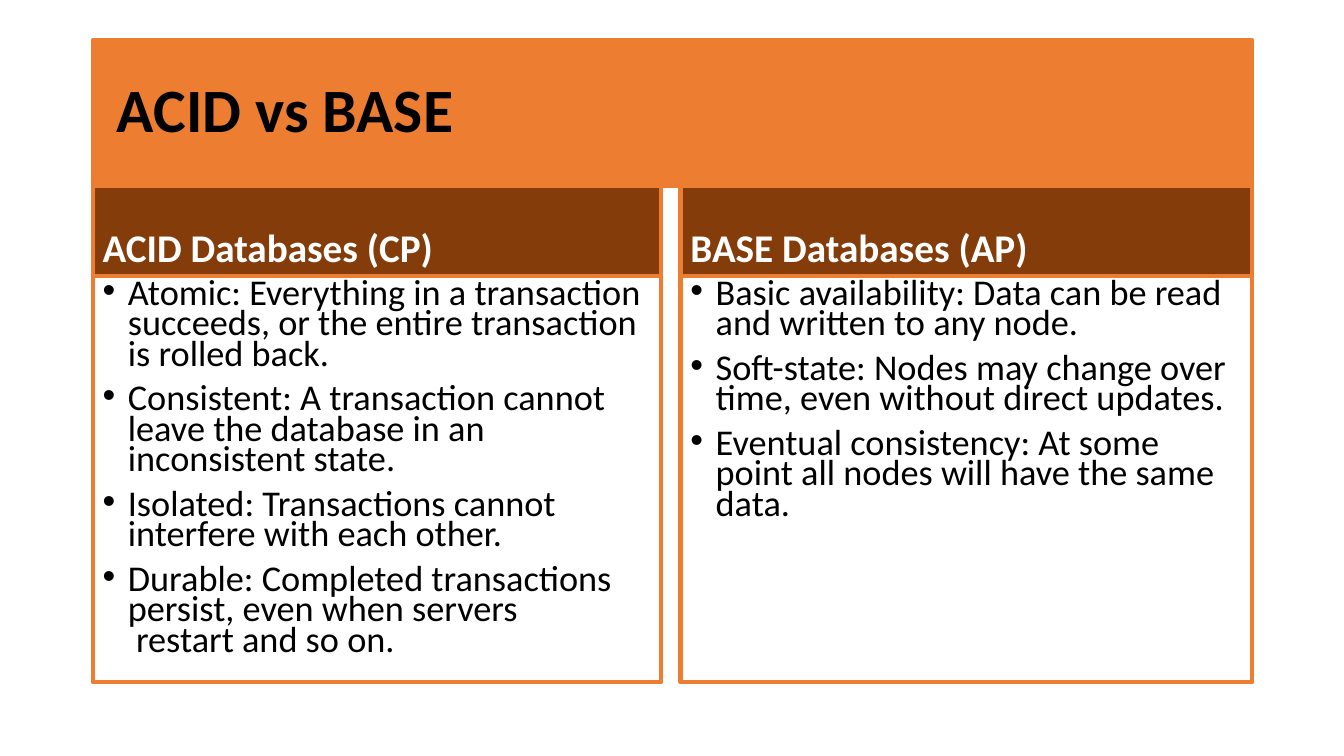
from lxml import etree
from pptx import Presentation
from pptx.dml.color import RGBColor
from pptx.enum.shapes import MSO_SHAPE
from pptx.enum.text import MSO_ANCHOR, PP_ALIGN
from pptx.oxml.ns import qn
from pptx.util import Inches, Pt

RECT = MSO_SHAPE.RECTANGLE
TOP, MID, LOW = MSO_ANCHOR.TOP, MSO_ANCHOR.MIDDLE, MSO_ANCHOR.BOTTOM
LEFT = PP_ALIGN.LEFT

# Content
TITLE = "ACID vs BASE"
PANELS = [
    ("ACID Databases (CP)", [
        "Atomic: Everything in a transaction succeeds, or the entire transaction is rolled back.",
        "Consistent: A transaction cannot leave the database in an inconsistent state.",
        "Isolated: Transactions cannot interfere with each other.",
        "Durable: Completed transactions persist, even when servers\n restart and so on.",
    ]),
    ("BASE Databases (AP)", [
        "Basic availability: Data can be read and written to any node.",
        "Soft-state: Nodes may change over time, even without direct updates.",
        "Eventual consistency: At some point all nodes will have the same data.",
    ]),
]
FONT = "Calibri"
ORANGE, BROWN, BLACK, WHITE = "ED7D31", "843C0B", "000000", "FFFFFF"

# Layout in inches: title row, head row, list row; two columns
EDGE, WIDE = 0.92, 11.5
TITLE_Y, HEAD_Y, LIST_Y, END_Y = 0.4, 1.84, 2.74, 6.77
COLS = [(EDGE, 5.64), (6.75, 5.67)]


def color(code):
    return RGBColor.from_string(code)


def add_box(x, y, w, h, lines, size, ink, fill=None, bold=False,
            anchor=TOP, inset=0.1, space=0.9, dots=False):
    box = slide.shapes.add_shape(RECT, Inches(x), Inches(y), Inches(w), Inches(h))
    box.shadow.inherit = False
    if fill:
        box.fill.solid()
        box.fill.fore_color.rgb = color(fill)
    else:
        box.fill.background()
    box.line.color.rgb = color(ORANGE)
    box.line.width = Pt(3)
    frame = box.text_frame
    frame.word_wrap = True
    frame.vertical_anchor = anchor
    frame.margin_left = Inches(inset)
    frame.text = lines[0]
    for line in lines[1:]:
        frame.add_paragraph().text = line
    for i, para in enumerate(frame.paragraphs):
        para.alignment = LEFT
        para.line_spacing = space
        para.space_before = Pt(10 if i else 0)
        if dots:
            add_dot(para)
        para.font.size = Pt(size)
        for run in para.runs:
            font = run.font
            font.name, font.size, font.bold = FONT, Pt(size), bold
            font.color.rgb = color(ink)


def add_dot(para):
    props = para._p.get_or_add_pPr()
    props.set("marL", str(Inches(0.25)))
    props.set("indent", str(-Inches(0.25)))
    etree.SubElement(props, qn("a:buFont")).set("typeface", "Arial")
    etree.SubElement(props, qn("a:buChar")).set("char", "•")


deck = Presentation()
deck.slide_width, deck.slide_height = Inches(13.33), Inches(7.5)
slide = deck.slides.add_slide(deck.slide_layouts[6])

# Title bar
add_box(EDGE, TITLE_Y, WIDE, HEAD_Y - TITLE_Y, [TITLE], 44, BLACK,
        fill=ORANGE, bold=True, anchor=MID, inset=0.24)

# Panels: head over list
for (x, w), (head, points) in zip(COLS, PANELS):
    add_box(x, HEAD_Y, w, LIST_Y - HEAD_Y, [head], 28, WHITE,
            fill=BROWN, bold=True, anchor=LOW)
    add_box(x, LIST_Y, w, END_Y - LIST_Y, points, 25.9, BLACK,
            space=0.7, dots=True)

deck.save("out.pptx")
